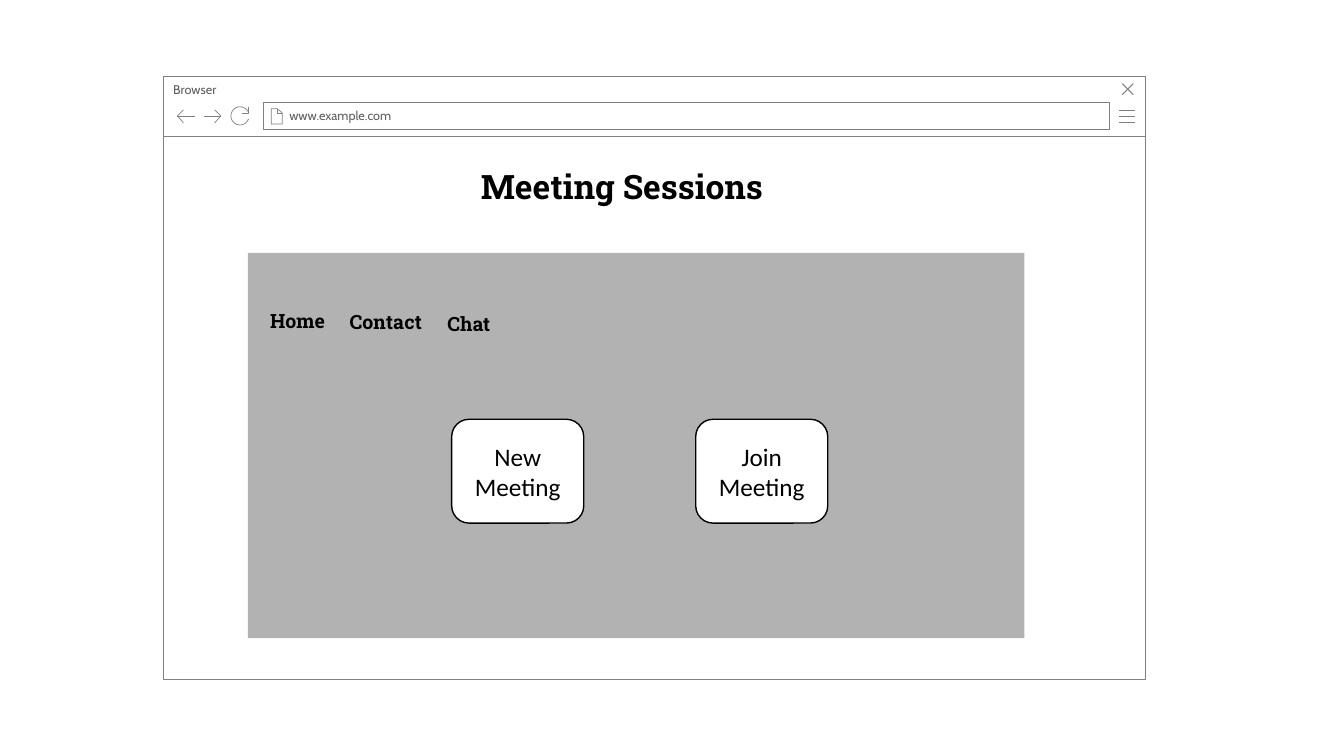
from math import cos, radians, sin

from lxml import etree
from pptx import Presentation
from pptx.dml.color import RGBColor
from pptx.enum.shapes import MSO_SHAPE
from pptx.enum.text import MSO_ANCHOR, MSO_AUTO_SIZE, PP_ALIGN
from pptx.oxml.ns import qn
from pptx.util import Inches, Pt

RECT, ROUNDED = MSO_SHAPE.RECTANGLE, MSO_SHAPE.ROUNDED_RECTANGLE
TOP, MIDDLE = MSO_ANCHOR.TOP, MSO_ANCHOR.MIDDLE
LEFT, CENTER = PP_ALIGN.LEFT, PP_ALIGN.CENTER
FIT_SHAPE = MSO_AUTO_SIZE.SHAPE_TO_FIT_TEXT
WHITE = RGBColor(0xFF, 0xFF, 0xFF)
BLACK = RGBColor(0, 0, 0)
GRAY = RGBColor(0x80, 0x80, 0x80)
DARK_GRAY = RGBColor(0x5F, 0x5F, 0x5F)

prs = Presentation()
prs.slide_width, prs.slide_height = Inches(13.33), Inches(7.5)
s = prs.slides.add_slide(prs.slide_layouts[6])


def add_box(kind, x, y, w, h, line=GRAY, width=0.5):
    sp = s.shapes.add_shape(kind, Inches(x), Inches(y), Inches(w), Inches(h))
    sp.shadow.inherit = False
    sp.fill.solid()
    sp.fill.fore_color.rgb = WHITE
    sp.line.color.rgb = line
    sp.line.width = Pt(width)
    return sp


def set_text(sp, text, font, size, color, align=LEFT, anchor=TOP, bold=False):
    tf = sp.text_frame
    tf.vertical_anchor = anchor
    p = tf.paragraphs[0]
    p.text = text
    p.alignment = align
    p.font.name, p.font.size, p.font.bold = font, Pt(size), bold
    p.font.color.rgb = color
    return tf


add_box(RECT, 1.62, 1.34, 9.74, 5.4)
title_bar = add_box(RECT, 1.62, 0.76, 9.74, 0.59)
set_text(title_bar, "Browser", "Cabin", 9, DARK_GRAY)
address_bar = add_box(RECT, 2.61, 1.02, 8.39, 0.26)
tf = set_text(address_bar, "www.example.com", "Cabin", 9, DARK_GRAY, anchor=MIDDLE)
tf.margin_left = Inches(0.26)

menu = [[(11.1, y), (11.26, y)] for y in (1.09, 1.15, 1.21)]
close = [[(11.13, 0.83), (11.24, 0.94)], [(11.24, 0.83), (11.13, 0.94)]]
page = [
    [(2.75, 1.08), (2.75, 1.12), (2.8, 1.12)],
    [(2.75, 1.08), (2.69, 1.08), (2.69, 1.23), (2.8, 1.23), (2.8, 1.12), (2.75, 1.08)],
]
back = [[(1.82, 1.22), (1.76, 1.15), (1.82, 1.09)], [(1.76, 1.15), (1.93, 1.15)]]
forward = [[(2.13, 1.09), (2.19, 1.15), (2.13, 1.22)], [(2.19, 1.15), (2.02, 1.15)]]
arc = [(2.38 + 0.09 * cos(radians(a)), 1.15 + 0.09 * sin(radians(a)))
       for a in range(20, 331, 10)]
reload_icon = [[(2.46, 1.06), (2.46, 1.12), (2.4, 1.12)], arc]

for strokes, width in ((menu, 0.5), (close, 0.75), (page, 0.5),
                       (back, 0.5), (forward, 0.5), (reload_icon, 0.5)):
    paths = [[(Inches(x), Inches(y)) for x, y in stroke] for stroke in strokes]
    builder = s.shapes.build_freeform(*paths[0][0])
    builder.add_line_segments(paths[0][1:], close=False)
    for path in paths[1:]:
        builder.move_to(*path[0])
        builder.add_line_segments(path[1:], close=False)
    icon = builder.convert_to_shape()
    icon.shadow.inherit = False
    icon.fill.background()
    icon.line.color.rgb = GRAY
    icon.line.width = Pt(width)

panel = add_box(RECT, 2.46, 2.51, 7.7, 3.82)
panel.fill.fore_color.rgb = GRAY
panel.line.fill.background()
color = panel._element.spPr.find(qn("a:solidFill"))[0]
etree.SubElement(color, qn("a:alpha")).set("val", "60000")

for text, x, y, w, h, size in (
    ("Meeting Sessions", 4.67, 1.6, 3.09, 0.5, 24),
    ("Home", 2.58, 3.02, 0.77, 0.34, 14),
    ("Contact", 3.37, 3.03, 0.95, 0.34, 14),
    ("Chat", 4.34, 3.05, 0.66, 0.34, 14),
):
    sp = s.shapes.add_textbox(Inches(x), Inches(y), Inches(w), Inches(h))
    tf = set_text(sp, text, "Roboto Slab", size, BLACK, bold=True)
    tf.word_wrap = False
    tf.auto_size = FIT_SHAPE

for text, x in (("New Meeting", 4.48), ("Join Meeting", 6.9)):
    button = add_box(ROUNDED, x, 4.16, 1.31, 1.03, BLACK, 1)
    set_text(button, text, "Calibri", 18, BLACK, CENTER, MIDDLE)

prs.save("out.pptx")
